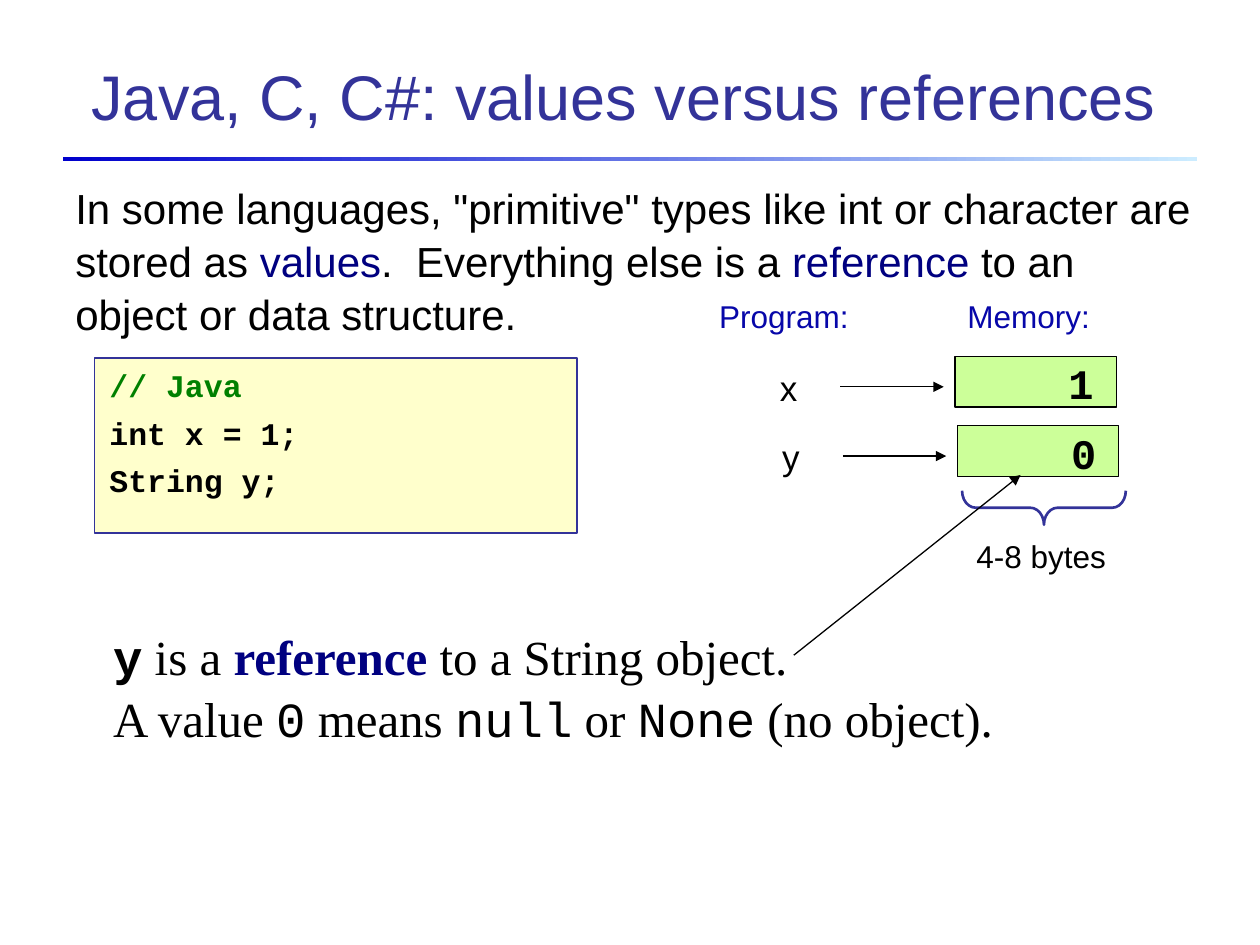
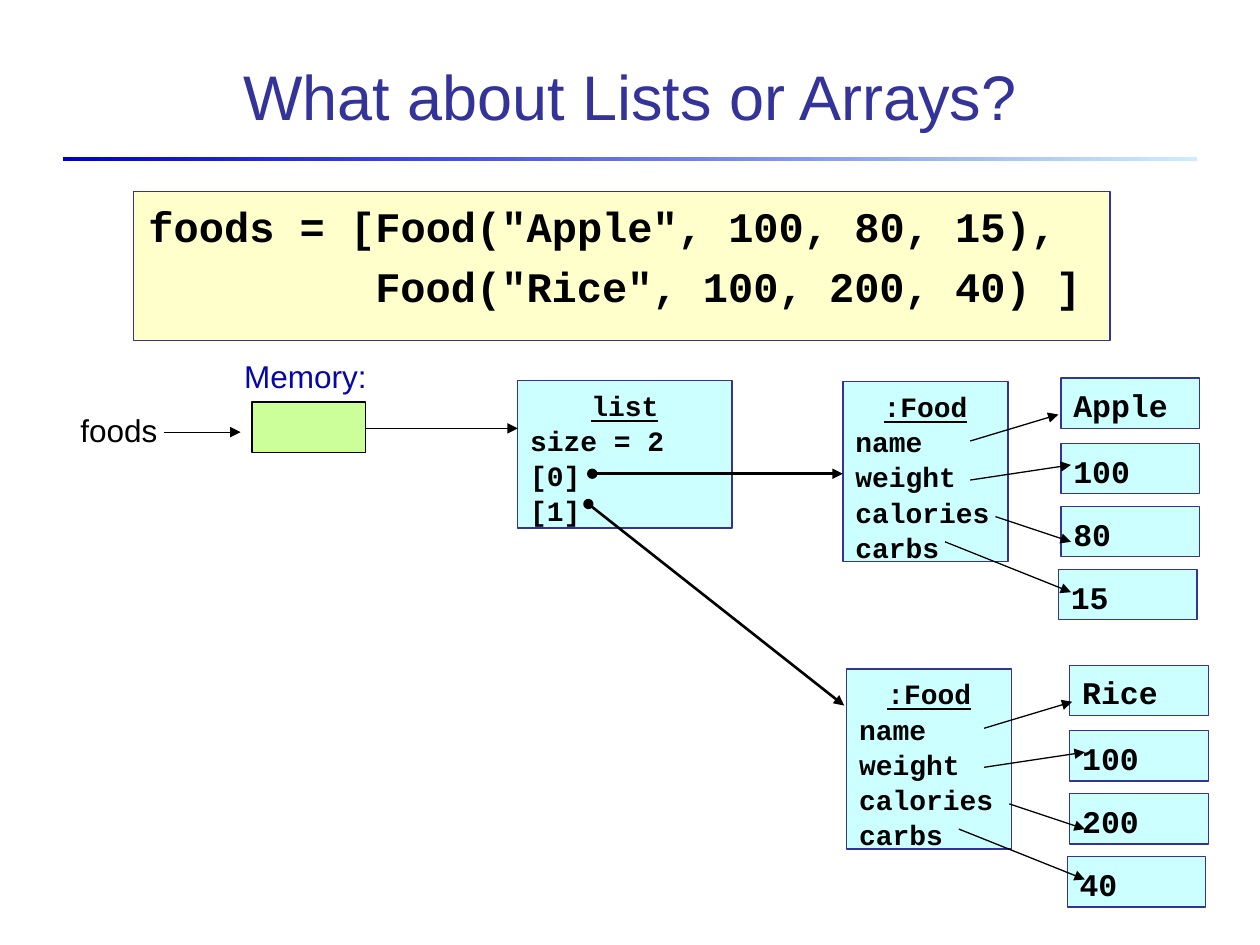
from dataclasses import dataclass, replace
from typing import NamedTuple

from lxml.etree import SubElement
from pptx import Presentation
from pptx.dml.color import RGBColor
from pptx.enum.shapes import MSO_CONNECTOR, MSO_SHAPE
from pptx.enum.text import MSO_ANCHOR, PP_ALIGN
from pptx.oxml.ns import qn
from pptx.util import Inches, Pt

WIDTH, HEIGHT = Inches(10), Inches(7.5)
COLS, ROWS = 100, 75

BLACK, INK, NAVY, LABEL = "000000", "333399", "000080", "0707A9"
GREEN, CREAM, LIME, AQUA = "008000", "FFFFCC", "CCFF99", "CCFFFF"
SANS, MONO, SERIF = "Arial", "Courier New", "Times New Roman"


class Area(NamedTuple):
    """Left, top, width and height in grid columns and rows."""
    x: float
    y: float
    w: float
    h: float


class Arrow(NamedTuple):
    x1: float
    y1: float
    x2: float
    y2: float


@dataclass(frozen=True)
class Style:
    size: float
    font: str = SANS
    color: str = BLACK
    bold: bool = False
    under: bool = False


class Piece(NamedTuple):
    text: str
    style: Style


TITLE = Style(36, color=INK)
HEAD = Style(18, color=LABEL)
NOTE = Style(18)
BODY = Style(24)
KEY = replace(BODY, color=NAVY)
CODE = Style(18, MONO, bold=True)
BIG = replace(CODE, size=24)
FIELD = replace(CODE, size=16)
NAME = replace(FIELD, under=True)
TALK = Style(28, SERIF)
TERM = replace(TALK, font=MONO)

FIELDS = ("name", "weight", "calories", "carbs")
# Value boxes and arrows, measured from the top left of their object box
CELLS = ((17.3, -0.3), (17.3, 4.9), (17.3, 9.9), (17.1, 14.9))
LINKS = (Arrow(10.1, 4.7, 17.1, 2.6), Arrow(10.1, 7.8, 18.1, 6.6),
         Arrow(12.1, 10.7, 18.1, 12.7), Arrow(8.1, 12.7, 18.1, 16.7))


def col(n: float) -> int:
    return round(n * WIDTH / COLS)


def row(n: float) -> int:
    return round(n * HEIGHT / ROWS)


def frame(area: Area) -> tuple:
    return col(area.x), row(area.y), col(area.w), row(area.h)


def rgb(code: str) -> RGBColor:
    return RGBColor.from_string(code)


def paint(run, style: Style) -> None:
    font = run.font
    font.name, font.size = style.font, Pt(style.size)
    font.bold, font.underline = style.bold, style.under
    font.color.rgb = rgb(style.color)


def write(shape, lines: list, align=PP_ALIGN.LEFT) -> None:
    """Fill a shape with lines, each a list of styled pieces."""
    body = shape.text_frame
    body.word_wrap = True
    for i, line in enumerate(lines):
        para = body.add_paragraph() if i else body.paragraphs[0]
        para.alignment = align
        para.line_spacing = 1.05
        for piece in line:
            run = para.add_run()
            run.text = piece.text
            paint(run, piece.style)


def label(slide, area: Area, *lines: list) -> None:
    write(slide.shapes.add_textbox(*frame(area)), lines)


def box(slide, area: Area, fill: str, edge: str = INK):
    shape = slide.shapes.add_shape(MSO_SHAPE.RECTANGLE, *frame(area))
    shape.shadow.inherit = False
    shape.fill.solid()
    shape.fill.fore_color.rgb = rgb(fill)
    shape.line.color.rgb = rgb(edge)
    shape.line.width = Pt(0.75)
    shape.text_frame.vertical_anchor = MSO_ANCHOR.TOP
    return shape


def code(slide, area: Area, lines: list, inset: tuple) -> None:
    """Draw a listing; inset holds the left indent of each line in columns."""
    shape = box(slide, area, CREAM)
    write(shape, lines)
    for para, left in zip(shape.text_frame.paragraphs, inset):
        para.space_before = Pt(4.5)
        props = para._p.get_or_add_pPr()
        props.set("marL", str(col(left)))


def link(slide, arrow: Arrow, width: float = 0.75, dot: bool = False) -> None:
    x1, y1, x2, y2 = arrow
    line = slide.shapes.add_connector(
        MSO_CONNECTOR.STRAIGHT, col(x1), row(y1), col(x2), row(y2))
    line.line.color.rgb = rgb(BLACK)
    line.line.width = Pt(width)
    stroke = line.line._get_or_add_ln()
    if dot:
        SubElement(stroke, qn("a:headEnd"), type="oval")
    SubElement(stroke, qn("a:tailEnd"), type="triangle")
    SubElement(line.element.spPr, qn("a:effectLst"))


def record(slide, area: Area, name: str, fields: tuple) -> None:
    shape = box(slide, area, AQUA)
    write(shape, [[Piece(name, NAME)], *([Piece(f, FIELD)] for f in fields)])
    shape.text_frame.paragraphs[0].alignment = PP_ALIGN.CENTER


def food(slide, x: float, y: float, shift: float, values: tuple) -> None:
    """Draw a Food object; shift moves its values and arrows sideways."""
    record(slide, Area(x, y, 13.1, 14.3), ":Food", FIELDS)
    for (dx, dy), value in zip(CELLS, values):
        cell = box(slide, Area(x + dx + shift / 2, y + dy, 11, 4), AQUA)
        write(cell, [[Piece(value, CODE)]])
    for x1, y1, x2, y2 in LINKS:
        link(slide, Arrow(x + x1 + shift, y + y1, x + x2 + shift, y + y2))


def start(deck, text: str, area: Area):
    """Add a slide with its title and the fading rule below it."""
    slide = deck.slides.add_slide(deck.slide_layouts[5])
    title = slide.shapes.title
    title.left, title.top, title.width, title.height = frame(area)
    title.text_frame.text = text
    title.text_frame.vertical_anchor = MSO_ANCHOR.MIDDLE
    title.text_frame.paragraphs[0].alignment = PP_ALIGN.CENTER
    paint(title.text_frame.paragraphs[0].runs[0], TITLE)
    rule = box(slide, Area(5, 12.5, 90, 0.3), INK)
    rule.line.fill.background()
    rule.fill.gradient()
    rule.fill.gradient_angle = 0
    for stop, shade in zip(rule.fill.gradient_stops, ("0000CC", "CCECFF")):
        stop.color.rgb = rgb(shade)
    return slide


def memory(slide, x: float, y: float, name: str, value: str) -> None:
    """Draw a variable, its arrow and the memory cell it names."""
    cell = box(slide, Area(x, y, 12.8, 4), LIME, BLACK)
    write(cell, [[Piece(value, BIG)]], PP_ALIGN.RIGHT)
    cell.text_frame.vertical_anchor = MSO_ANCHOR.MIDDLE
    cell.text_frame.margin_right = col(1.8)
    label(slide, Area(x - 14.9, y + 0.1, 4.1, 4.4), [Piece(name, Style(20))])
    link(slide, Arrow(x - 9.1, y + 2.4, x - 0.9, y + 2.4))


def brace(slide, area: Area) -> None:
    shape = slide.shapes.add_shape(MSO_SHAPE.RIGHT_BRACE, *frame(area))
    shape.rotation = 90
    shape.adjustments[0] = 0.4
    shape.shadow.inherit = False
    shape.fill.background()
    shape.line.color.rgb = rgb(INK)
    shape.line.width = Pt(1.5)


def types(deck) -> None:
    slide = start(deck, "Java, C, C#: values versus references",
                  Area(2, 2.8, 95, 9.5))
    code(slide, Area(7.5, 28.4, 38.3, 13.9),
         [[Piece("// Java", replace(CODE, color=GREEN))],
          [Piece("int x = 1;", CODE)], [Piece("String y;", CODE)]],
         (0.2, 0.2, 0.2))
    for x, text in ((56.1, "Program:"), (75.8, "Memory:")):
        label(slide, Area(x, 22.9, 12.7, 4), [Piece(text, HEAD)])
    memory(slide, 75.8, 28.3, "x", "1")
    memory(slide, 76, 33.8, "y", "0")
    brace(slide, Area(81.5, 33.8, 2.7, 13))
    label(slide, Area(76.5, 42, 12.9, 4), [Piece("4-8 bytes", NOTE)])
    label(slide, Area(5, 13.8, 91, 17.6), [
        Piece('In some languages, "primitive" types like int or character '
              'are stored as ', BODY),
        Piece("values", KEY), Piece(".  Everything else is a ", BODY),
        Piece("reference", KEY),
        Piece(" to an object or data structure.", BODY)])
    label(slide, Area(8, 49, 86, 10.3),
          [Piece("y", replace(TERM, bold=True)), Piece(" is a ", TALK),
           Piece("reference", replace(TALK, color=NAVY, bold=True)),
           Piece(" to a String object.", TALK)],
          [Piece("A value ", TALK), Piece("0", TERM), Piece(" means ", TALK),
           Piece("null", TERM), Piece(" or ", TALK), Piece("None", TERM),
           Piece(" (no object).", TALK)])
    link(slide, Arrow(63, 52, 81, 37.7))


def lists(deck) -> None:
    slide = start(deck, "What about Lists or Arrays?",
                  Area(6.7, 2.8, 86.6, 9.5))
    code(slide, Area(10.6, 15.2, 77.5, 11.8),
         [[Piece('foods = [Food("Apple", 100, 80, 15),', BIG)],
          [Piece('Food("Rice", 100, 200, 40) ]', BIG)]], (0.2, 18.2))
    box(slide, Area(20, 31.9, 9, 4), LIME, BLACK)
    label(slide, Area(5.4, 32, 8.8, 4), [Piece("foods", NOTE)])
    label(slide, Area(18.4, 27.7, 12.7, 4), [Piece("Memory:", HEAD)])
    link(slide, Arrow(13, 34.3, 19.1, 34.3))
    record(slide, Area(41.1, 30.2, 17, 11.7), "list",
           ("size = 2", "[0]", "[1]"))
    food(slide, 66.9, 30.3, 0, ("Apple", "100", "80", "15"))
    food(slide, 67.2, 53.1, 0.8, ("Rice", "100", "200", "40"))
    link(slide, Arrow(46.7, 40, 67, 56), 1.5, dot=True)
    link(slide, Arrow(47, 37.6, 66.9, 37.6), 1.5, dot=True)
    link(slide, Arrow(29, 34, 41.1, 34))


def main() -> None:
    deck = Presentation()
    deck.slide_width, deck.slide_height = WIDTH, HEIGHT
    types(deck)
    lists(deck)
    deck.save("out.pptx")


if __name__ == "__main__":
    main()
